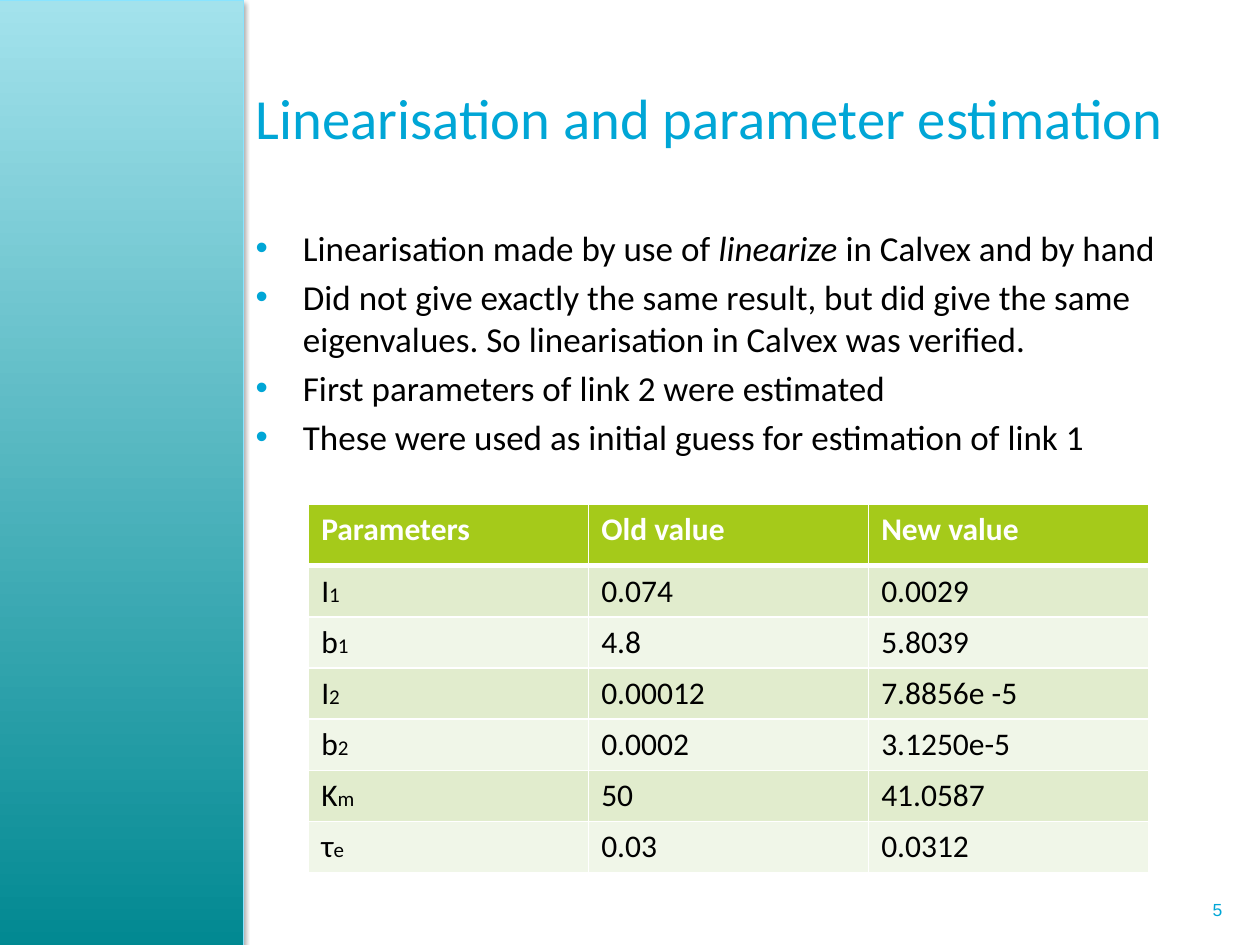
import pptx
import pptx.util
import pptx.dml.color
import pptx.enum.shapes
import pptx.enum.text
import pptx.oxml
import pptx.oxml.ns

Pt = pptx.util.Pt
NS = pptx.oxml.ns.nsdecls("a")


def rgb(value):
    return pptx.dml.color.RGBColor.from_string(value)


def style(r, size, color, name="Calibri", bold=False, italic=False):
    r.font.size = Pt(size)
    r.font.name = name
    r.font.bold = bold
    r.font.italic = italic
    r.font.color.rgb = rgb(color)


prs = pptx.Presentation()
prs.slide_width = Pt(720)
prs.slide_height = Pt(540)
s = prs.slides.add_slide(prs.slide_layouts[5])

sp = s.shapes.add_shape(pptx.enum.shapes.MSO_SHAPE.RECTANGLE, Pt(-7.2), Pt(0), Pt(146.2), Pt(545.8))
sp.fill.gradient()
sp.fill.gradient_angle = 90
for stop, (position, color) in zip(sp.fill.gradient_stops, [(0, "008891"), (1, "A3E2EC")]):
    stop.position = position
    stop.color.rgb = rgb(color)
sp.line.color.rgb = rgb("89E4FF")
sp.line.width = Pt(0.75)
sp._element.spPr.append(pptx.oxml.parse_xml(
    f'<a:effectLst {NS}><a:outerShdw blurRad="{Pt(3.1)}" dist="{Pt(1.8)}" dir="5400000" rotWithShape="0">'
    '<a:srgbClr val="000000"><a:alpha val="35000"/></a:srgbClr></a:outerShdw></a:effectLst>'))

sp = s.shapes.add_textbox(Pt(523.4), Pt(505.4), Pt(182.2), Pt(28.8))
tf = sp.text_frame
tf.word_wrap = True
tf.vertical_anchor = pptx.enum.text.MSO_ANCHOR.MIDDLE
p = tf.paragraphs[0]
p.text = "5"
p.alignment = pptx.enum.text.PP_ALIGN.RIGHT
style(p.runs[0], 10, "00A6D6", "Arial")

sp = s.shapes.title
sp.left, sp.top, sp.width, sp.height = Pt(139), Pt(21.6), Pt(559.4), Pt(90)
tf = sp.text_frame
tf.text = "Linearisation and parameter estimation"
tf.word_wrap = True
tf.auto_size = pptx.enum.text.MSO_AUTO_SIZE.NONE
tf.vertical_anchor = pptx.enum.text.MSO_ANCHOR.MIDDLE
p = tf.paragraphs[0]
p.alignment = pptx.enum.text.PP_ALIGN.LEFT
style(p.runs[0], 32.4, "00A6D6")

bullets = [
    ["Linearisation made by use of ", "linearize", " in Calvex and by hand"],
    ["Did not give exactly the same result, but did give the same eigenvalues. "
     "So linearisation in Calvex was verified."],
    ["First parameters of link 2 were estimated"],
    ["These were used as initial guess for estimation of link 1"],
]
sp = s.shapes.add_textbox(Pt(139), Pt(126), Pt(559.4), Pt(365.8))
tf = sp.text_frame
tf.word_wrap = True
for i, parts in enumerate(bullets):
    p = tf.add_paragraph() if i else tf.paragraphs[0]
    p.space_before = Pt(4)
    for part in parts:
        r = p.add_run()
        r.text = part
        style(r, 20, "000000", italic=part == "linearize")
    pPr = p._p.get_or_add_pPr()
    pPr.set("marL", str(Pt(27)))
    pPr.set("indent", str(Pt(-27)))
    for xml in (f'<a:buClr {NS}><a:srgbClr val="00A6D6"/></a:buClr>',
                f'<a:buFont {NS} typeface="Arial"/>',
                f'<a:buChar {NS} char="•"/>'):
        pPr.append(pptx.oxml.parse_xml(xml))

rows = [
    (("Parameters",), "Old value", "New value"),
    (("I", "1"), "0.074", "0.0029"),
    (("b", "1"), "4.8", "5.8039"),
    (("I", "2"), "0.00012", "7.8856e -5"),
    (("b", "2"), "0.0002", "3.1250e-5"),
    (("K", "m"), "50", "41.0587"),
    (("τ", "e"), "0.03", "0.0312"),
]
table = s.shapes.add_table(len(rows), 3, Pt(176.4), Pt(288), Pt(480), Pt(210.8)).table
for column in table.columns:
    column.width = Pt(160)
for i, (symbol, old, new) in enumerate(rows):
    header = i == 0
    table.rows[i].height = Pt(35.3 if header else 29.25)
    for j, parts in enumerate([symbol, (old,), (new,)]):
        cell = table.cell(i, j)
        tcPr = cell._tc.get_or_add_tcPr()
        for side in "LRTB":
            thick = (header and side == "B") or (i == 1 and side == "T")
            tcPr.append(pptx.oxml.parse_xml(
                f'<a:ln{side} {NS} w="{Pt(3 if thick else 1)}"><a:solidFill>'
                f'<a:srgbClr val="FFFFFF"/></a:solidFill></a:ln{side}>'))
        cell.fill.solid()
        cell.fill.fore_color.rgb = rgb("A5CA1A" if header else "E1ECCD" if i % 2 else "F0F6E8")
        p = cell.text_frame.paragraphs[0]
        for k, part in enumerate(parts):
            r = p.add_run()
            r.text = part
            style(r, 12 if k else 18, "FFFFFF" if header else "000000", bold=header)

prs.save("out.pptx")
